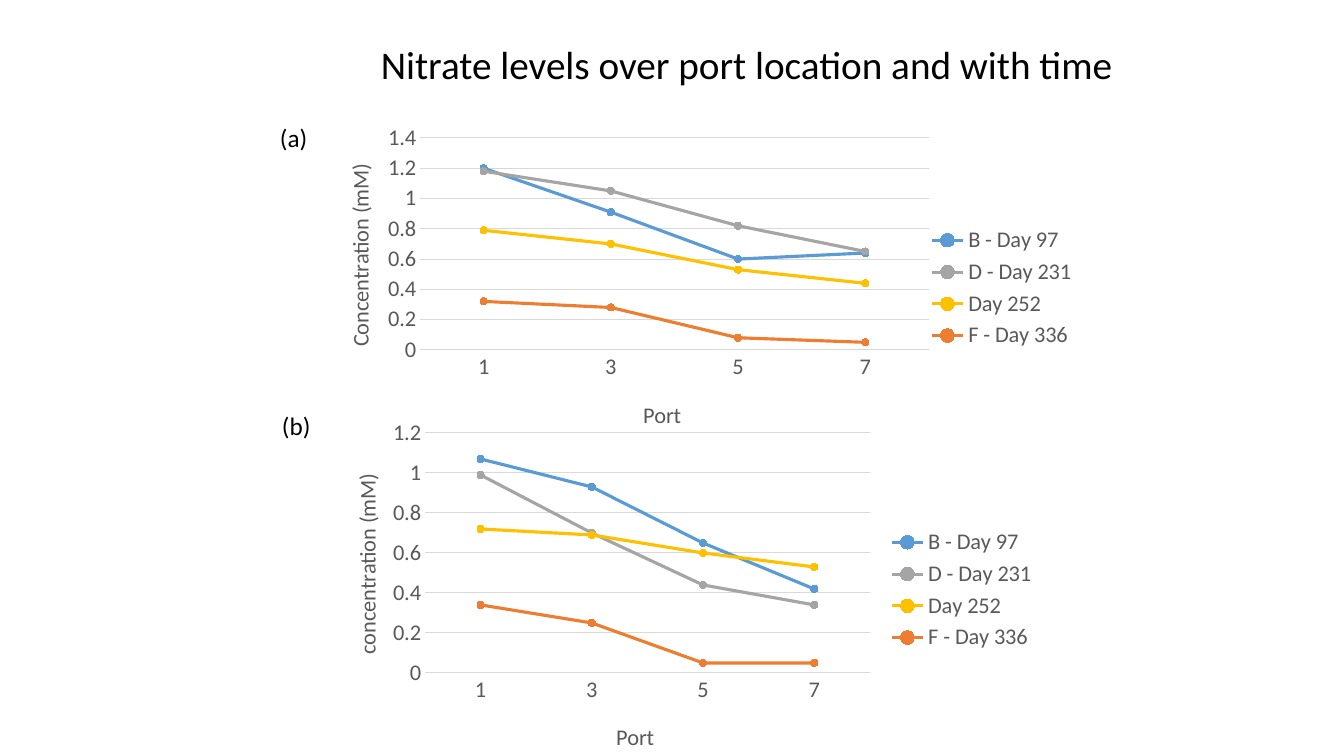
from lxml import etree
from pptx import Presentation
from pptx.chart.data import CategoryChartData
from pptx.dml.color import RGBColor
from pptx.enum.chart import XL_CHART_TYPE, XL_LEGEND_POSITION, XL_MARKER_STYLE, XL_TICK_MARK
from pptx.enum.text import PP_ALIGN
from pptx.oxml.ns import qn
from pptx.util import Pt

LINE_MARKERS = XL_CHART_TYPE.LINE_MARKERS
LEGEND_RIGHT = XL_LEGEND_POSITION.RIGHT
CIRCLE = XL_MARKER_STYLE.CIRCLE
NO_TICK = XL_TICK_MARK.NONE
LEFT, CENTER = PP_ALIGN.LEFT, PP_ALIGN.CENTER

PX = 914400 / 100.8
FONT = "Calibri"
COLORS = {"text": "000000", "label": "595959", "grid": "D9D9D9",
          "blue": "5B9BD5", "gray": "A5A5A5", "gold": "FFC000", "orange": "ED7D31"}

# text, box in px (left, top, width, height), size, alignment
TEXTS = [
    ("(a)", (270, 117, 60, 40), 18, LEFT),
    ("(b)", (272, 405, 56, 40), 18, LEFT),
    ("Nitrate levels over port location and with time", (321, 35, 851, 68), 28, CENTER),
]
PORTS = ["1", "3", "5", "7"]
SERIES = [("B - Day 97", "blue"), ("D - Day 231", "gray"),
          ("Day 252", "gold"), ("F - Day 336", "orange")]
# boxes and title corners in px on the page
CHARTS = [
    {"box": (321, 117, 766, 342), "plot": (420, 138, 509, 212), "top_value": 1.4,
     "port_title": ("Port", (639, 396)),
     "value_title": ("Concentration (mM)", (341, 160)),
     "values": [(1.2, 0.91, 0.6, 0.64), (1.18, 1.05, 0.82, 0.65),
                (0.79, 0.7, 0.53, 0.44), (0.32, 0.28, 0.08, 0.05)]},
    {"box": (324, 412, 723, 356), "plot": (425, 433, 445, 240), "top_value": 1.2,
     "port_title": ("Port", (612, 718)),
     "value_title": ("concentration (mM)", (348, 470)),
     "values": [(1.07, 0.93, 0.65, 0.42), (0.99, 0.7, 0.44, 0.34),
                (0.72, 0.69, 0.6, 0.53), (0.34, 0.25, 0.05, 0.05)]},
]


def emu(lengths):
    return [round(length * PX) for length in lengths]


def rgb(name):
    return RGBColor.from_string(COLORS[name])


def style_font(font, size, color):
    for key, value in {"name": FONT, "size": Pt(size), "bold": False}.items():
        setattr(font, key, value)
    font.color.rgb = rgb(color)


def style_line(line, color, width):
    line.color.rgb = rgb(color)
    line.width = Pt(width)


def set_layout(parent, frame, place, inner=False):
    """Fix a chart part at place, a px corner or box, inside the chart's frame."""
    layout = parent.find(qn("c:layout"))
    if layout is None:
        layout = etree.Element(qn("c:layout"))
        parent.insert(0, layout)
    manual = etree.SubElement(layout, qn("c:manualLayout"))
    left, top, width, height = frame
    fractions = [(place[0] - left) / width, (place[1] - top) / height]
    fractions += [length / whole for length, whole in zip(place[2:], (width, height))]
    settings = [("layoutTarget", "inner")] if inner else []
    settings += [("xMode", "edge"), ("yMode", "edge")]
    settings += [(key, f"{part:.4f}") for key, part in zip("xywh", fractions)]
    for key, value in settings:
        etree.SubElement(manual, qn(f"c:{key}")).set("val", value)


def style_axis(axis, frame, title, corner):
    axis.major_tick_mark = axis.minor_tick_mark = NO_TICK
    style_font(axis.tick_labels.font, 16, "label")
    para = axis.axis_title.text_frame.paragraphs[0]
    span = para.add_run()
    span.text = title
    style_font(span.font, 16, "label")
    set_layout(axis.axis_title._element, frame, corner)


def add_text(page, text, box, size, alignment):
    frame = page.shapes.add_textbox(*emu(box)).text_frame
    frame.word_wrap = True
    para = frame.paragraphs[0]
    para.alignment = alignment
    span = para.add_run()
    span.text = text
    style_font(span.font, size, "text")


def add_nitrate_chart(page, content):
    data = CategoryChartData()
    data.categories = PORTS
    for (name, _), values in zip(SERIES, content["values"]):
        data.add_series(name, values)
    box = content["box"]
    chart = page.shapes.add_chart(LINE_MARKERS, *emu(box), data).chart
    chart.has_title = False
    style_font(chart.font, 16, "text")

    chart.has_legend = True
    chart.legend.position = LEGEND_RIGHT
    chart.legend.include_in_layout = False
    style_font(chart.legend.font, 16, "label")

    ports, levels = chart.category_axis, chart.value_axis
    style_axis(ports, box, *content["port_title"])
    style_axis(levels, box, *content["value_title"])
    style_line(ports.format.line, "grid", 0.75)
    levels.format.line.fill.background()
    style_line(levels.major_gridlines.format.line, "grid", 0.75)
    scale = {"minimum_scale": 0, "maximum_scale": content["top_value"], "major_unit": 0.2}
    for key, value in scale.items():
        setattr(levels, key, value)
    body = levels.axis_title.text_frame._txBody.find(qn("a:bodyPr"))
    body.set("rot", "-5400000")
    body.set("vert", "horz")

    plot = chart.plots[0]
    plot.vary_by_categories = False
    for series, (_, color) in zip(plot.series, SERIES):
        series.smooth = False
        style_line(series.format.line, color, 2.25)
        marker = series.marker
        marker.style, marker.size = CIRCLE, 5
        marker.format.fill.solid()
        marker.format.fill.fore_color.rgb = rgb(color)
        style_line(marker.format.line, color, 0.75)
    plot_area = chart._chartSpace.find(".//" + qn("c:plotArea"))
    set_layout(plot_area, box, content["plot"], inner=True)


def main():
    deck = Presentation()
    deck.slide_width, deck.slide_height = emu((1344, 756))
    page = deck.slides.add_slide(deck.slide_layouts[6])
    for text in TEXTS:
        add_text(page, *text)
    for content in CHARTS:
        add_nitrate_chart(page, content)
    deck.save("out.pptx")


if __name__ == "__main__":
    main()
